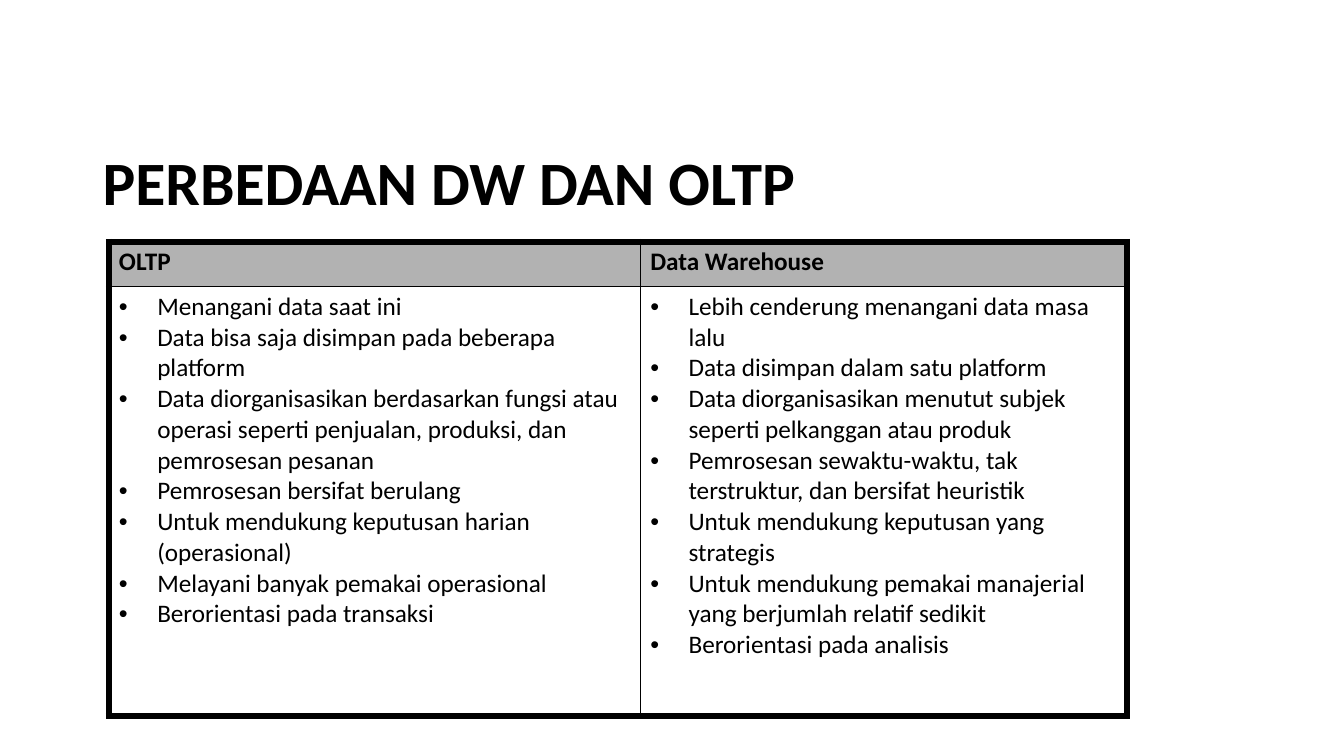
from lxml.etree import SubElement
from pptx import Presentation
from pptx.dml.color import RGBColor
from pptx.enum.text import MSO_ANCHOR
from pptx.oxml.ns import qn
from pptx.util import Inches, Pt

BLACK = RGBColor(0x00, 0x00, 0x00)
HEADER_GRAY = RGBColor(0xB2, 0xB2, 0xB2)
FRAME_WIDTH, GRID_WIDTH = Pt(5), Pt(1)
HANGING = Inches(0.38)

HEADERS = ["OLTP", "Data Warehouse"]
OLTP_POINTS = [
    "Menangani data saat ini",
    "Data bisa saja disimpan pada beberapa platform",
    "Data diorganisasikan berdasarkan fungsi atau operasi seperti penjualan, produksi, dan pemrosesan pesanan",
    "Pemrosesan bersifat berulang",
    "Untuk mendukung keputusan harian (operasional)",
    "Melayani banyak pemakai operasional",
    "Berorientasi pada transaksi",
]
WAREHOUSE_POINTS = [
    "Lebih cenderung menangani data masa lalu",
    "Data disimpan dalam satu platform",
    "Data diorganisasikan menutut subjek seperti pelkanggan atau produk",
    "Pemrosesan sewaktu-waktu, tak terstruktur, dan bersifat heuristik",
    "Untuk mendukung keputusan yang strategis",
    "Untuk mendukung pemakai manajerial yang berjumlah relatif sedikit",
    "Berorientasi pada analisis",
]


def write(para, text, size=18, bold=False, font="Calibri", color=BLACK):
    span = para.add_run()
    span.text = text
    span.font.name = font
    span.font.size = Pt(size)
    span.font.bold = bold
    span.font.color.rgb = color


def hang(para, bullet=None):
    """Give the paragraph a hanging indent and, if wanted, a bullet."""
    properties = para._p.get_or_add_pPr()
    properties.set("marL", str(HANGING))
    properties.set("indent", str(-HANGING))
    if bullet:
        SubElement(properties, qn("a:buFont"), typeface="Arial")
        SubElement(properties, qn("a:buChar"), char=bullet)


def draw_border(cell, side, width):
    line = SubElement(cell._tc.get_or_add_tcPr(), qn(f"a:ln{side}"), w=str(width))
    fill = SubElement(line, qn("a:solidFill"))
    SubElement(fill, qn("a:srgbClr"), val=str(BLACK))


class Slide:
    def __init__(self, deck):
        self.page = deck.slides.add_slide(deck.slide_layouts[6])

    def title(self, text, left, top, width, height):
        box = self.page.shapes.add_textbox(
            Inches(left), Inches(top), Inches(width), Inches(height))
        frame = box.text_frame
        frame.word_wrap = True
        frame.vertical_anchor = MSO_ANCHOR.MIDDLE
        para = frame.paragraphs[0]
        para.line_spacing = 0.9
        write(para, text, size=44, bold=True)

    def table(self, rows, left, top, widths, heights):
        """Draw rows of cells, each a list of paragraphs, under a gray header."""
        table = self.page.shapes.add_table(
            len(heights), len(widths), Inches(left), Inches(top),
            Inches(sum(widths)), Inches(sum(heights))).table
        table.first_row = table.horz_banding = False
        for column, width in zip(table.columns, widths):
            column.width = Inches(width)
        for row, height in zip(table.rows, heights):
            row.height = Inches(height)
        last_row, last_column = len(heights) - 1, len(widths) - 1
        for i, row in enumerate(rows):
            for j, texts in enumerate(row):
                cell = table.cell(i, j)
                outer = {"L": j == 0, "R": j == last_column,
                         "T": i == 0, "B": i == last_row}
                for side, is_outer in outer.items():
                    draw_border(cell, side, FRAME_WIDTH if is_outer else GRID_WIDTH)
                self.fill_cell(cell, texts, header=i == 0)

    def fill_cell(self, cell, texts, header):
        if header:
            cell.fill.solid()
            cell.fill.fore_color.rgb = HEADER_GRAY
        else:
            cell.fill.background()
        frame = cell.text_frame
        for k, text in enumerate(texts):
            para = frame.add_paragraph() if k else frame.paragraphs[0]
            hang(para, bullet=None if header else "•")
            write(para, text, bold=header)


def main():
    deck = Presentation()
    deck.slide_width, deck.slide_height = Inches(13.33), Inches(7.5)
    slide = Slide(deck)
    slide.title("PERBEDAAN DW DAN OLTP", 0.92, 1.12, 11.5, 1.45)
    rows = [[[header] for header in HEADERS], [OLTP_POINTS, WAREHOUSE_POINTS]]
    slide.table(rows, 1.08, 2.4, widths=[5.27, 4.83], heights=[0.44, 4.26])
    deck.save("out.pptx")


if __name__ == "__main__":
    main()
